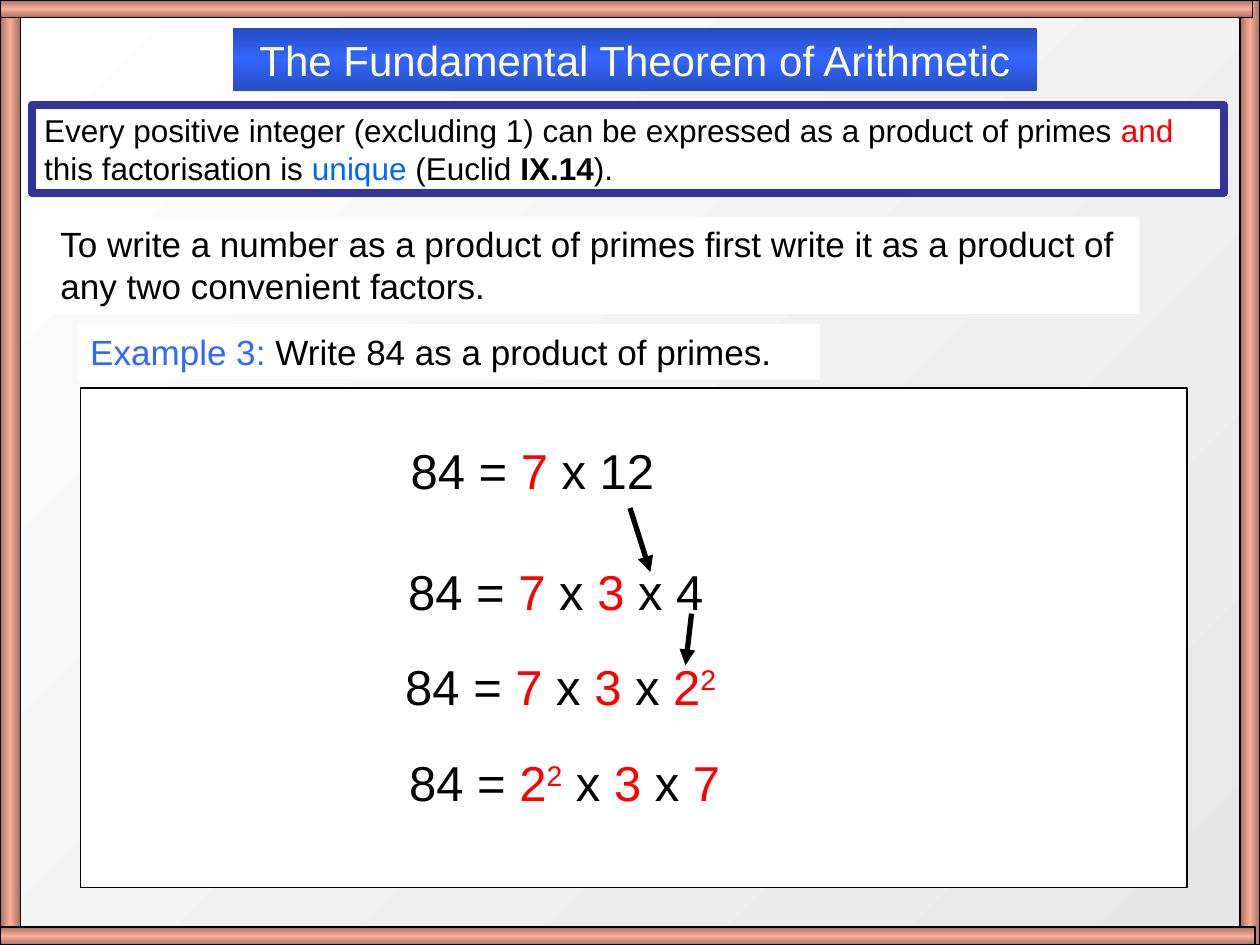
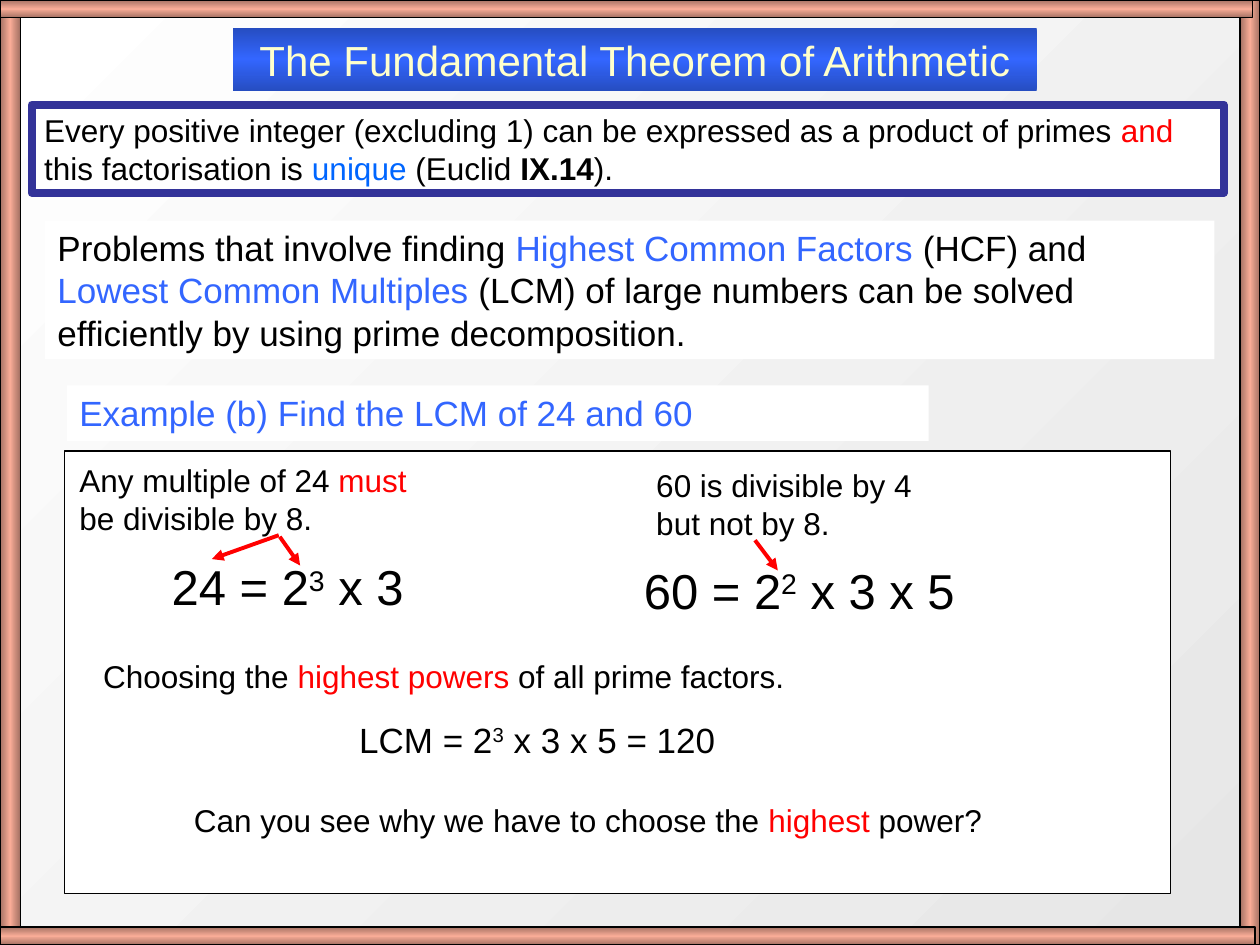
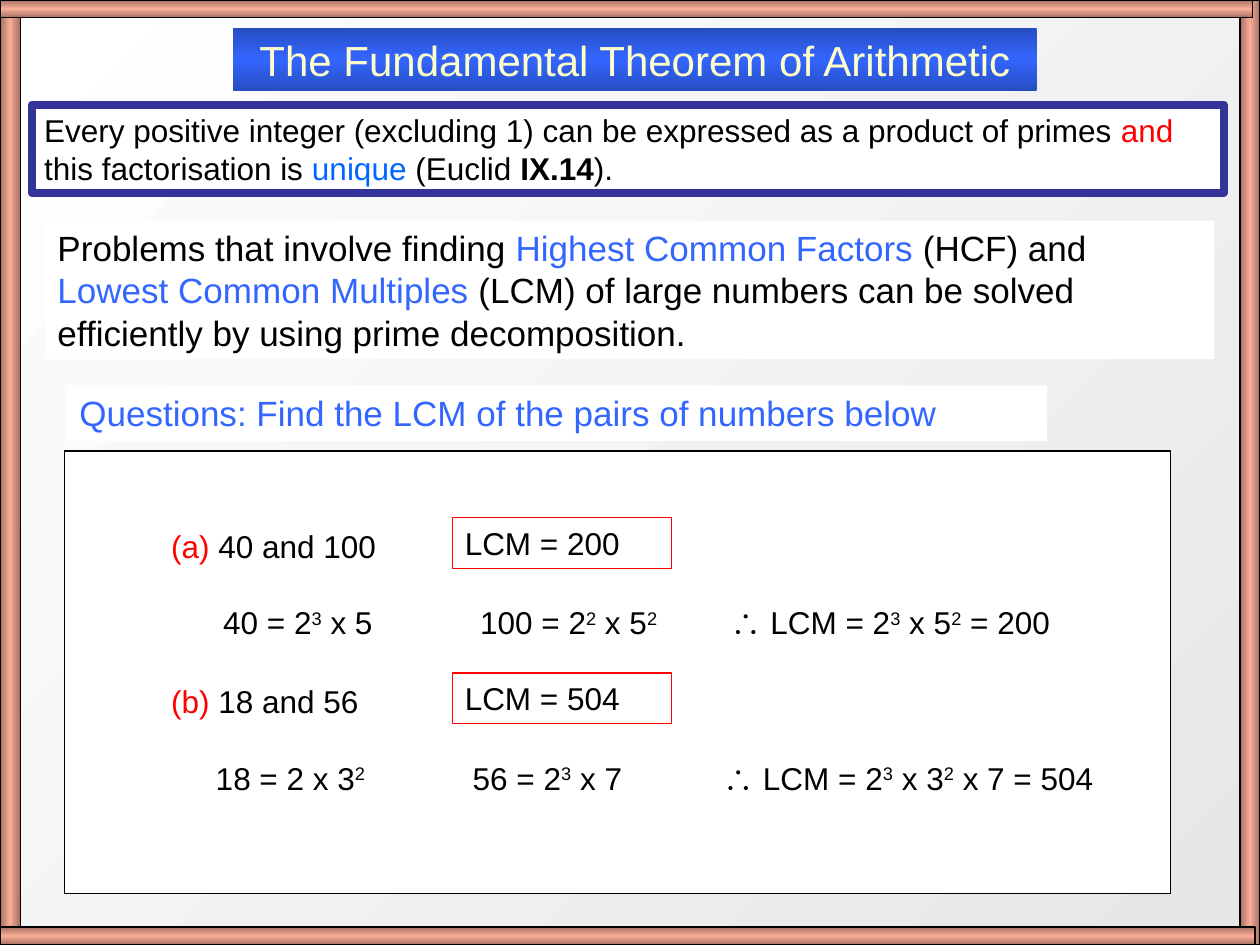
import copy

import pptx
import pptx.dml.color
import pptx.enum.shapes
import pptx.enum.text
import pptx.oxml
import pptx.oxml.ns
import pptx.util

Cm = pptx.util.Cm
Pt = pptx.util.Pt
RGBColor = pptx.dml.color.RGBColor
qn = pptx.oxml.ns.qn

# Shared look
FONT = "Arial"
BLACK = RGBColor(0x00, 0x00, 0x00)
WHITE = RGBColor(0xFF, 0xFF, 0xFF)
GREY = RGBColor(0xE6, 0xE6, 0xE6)
RED = RGBColor(0xFF, 0x00, 0x00)
BLUE = RGBColor(0x33, 0x66, 0xFF)
DARK_BLUE = RGBColor(0x26, 0x4D, 0xC1)
BRIGHT_BLUE = RGBColor(0x00, 0x66, 0xFF)
NAVY = RGBColor(0x33, 0x33, 0x99)
CREAM = RGBColor(0xFF, 0xFF, 0xCC)
COPPER = RGBColor(0xA4, 0x71, 0x63)
SALMON = RGBColor(0xF9, 0xAC, 0x97)

# Boxes are (left, top, width, height) in centimetres
SLIDE_WIDTH, SLIDE_HEIGHT = 25.4, 19.05
TITLE_BOX = (4.7, 0.56, 16.2, 1.27)
THEOREM_BOX = (0.64, 2.11, 24.03, 1.78)
FACTOR_PANEL = (1.63, 7.82, 22.3, 10.08)
LCM_PANEL = (1.3, 9.09, 22.3, 8.92)
FRAME_BARS = [
    ((0, 0, 0.41, SLIDE_HEIGHT), 0),
    ((25.0, 0, 0.4, SLIDE_HEIGHT), 0),
    ((0, 0, 25.25, 0.36), 90),
    ((0, 18.69, 25.3, 0.36), 90),
]

TITLE = "The Fundamental Theorem of Arithmetic"
THEOREM = [
    ("Every positive integer (excluding 1) can be expressed as a product of primes ", BLACK),
    ("and", RED),
    (" this factorisation is ", BLACK),
    ("unique ", BRIGHT_BLUE),
    ("(Euclid ", BLACK),
    ("IX.14", BLACK, True),
    (").", BLACK),
]
FACTOR_INTRO = [
    ("To write a number as a product of primes first write it as a product of "
     "any two convenient factors.", BLACK),
]
LCM_INTRO = [
    ("Problems that involve finding ", BLACK),
    ("Highest Common Factors", BLUE),
    (" (HCF) and ", BLACK),
    ("Lowest Common Multiples", BLUE),
    (" (LCM) of large numbers can be solved efficiently by using prime decomposition.", BLACK),
]


def add_run(paragraph, text, size, colour, bold=False, raised=False):
    run = paragraph.add_run()
    run.text = text
    run.font.name = FONT
    run.font.size = Pt(size)
    run.font.bold = bold
    run.font.color.rgb = colour
    if raised:
        run.font._element.set("baseline", "30000")


def write(shape, pieces, size):
    """Write (text, colour[, bold]) pieces; the digit after ^ is a power."""
    shape.text_frame.word_wrap = True
    paragraph = shape.text_frame.paragraphs[0]
    for text, colour, *bold in pieces:
        plain, *powers = text.split("^")
        if plain:
            add_run(paragraph, plain, size, colour, *bold)
        for power in powers:
            add_run(paragraph, power[0], size, colour, *bold, raised=True)
            if power[1:]:
                add_run(paragraph, power[1:], size, colour, *bold)
    return paragraph


def add_text(slide, box, pieces, size, fill=None, line=None, line_width=0.75):
    shape = slide.shapes.add_textbox(*map(Cm, box))
    if fill is not None:
        shape.fill.solid()
        shape.fill.fore_color.rgb = fill
    if line is not None:
        shape.line.color.rgb = line
        shape.line.width = Pt(line_width)
    write(shape, pieces, size)


def within(panel, left, top, width, height):
    return panel[0] + left, panel[1] + top, width, height


def add_rectangle(slide, box):
    shape = slide.shapes.add_shape(pptx.enum.shapes.MSO_SHAPE.RECTANGLE, *map(Cm, box))
    shape.shadow.inherit = False
    shape.line.color.rgb = BLACK
    shape.line.width = Pt(0.75)
    return shape


def add_panel(slide, box):
    panel = add_rectangle(slide, box)
    panel.fill.solid()
    panel.fill.fore_color.rgb = WHITE


def fill_with_sheen(shape, edge, middle, angle):
    """Gradient from edge to middle and back to edge."""
    shape.fill.gradient()
    shape.fill.gradient_angle = angle
    stops = shape.fill.gradient_stops
    stops[0].color.rgb, stops[0].position = edge, 0
    stops[1].color.rgb, stops[1].position = middle, 0.5
    stop_list = shape._element.spPr.find(".//" + qn("a:gsLst"))
    stop_list.append(copy.deepcopy(stop_list[0]))
    shape.fill.gradient_stops[2].position = 1


def add_arrow(slide, panel, start, end, colour, width):
    points = [Cm(panel[axis] + point[axis]) for point in (start, end) for axis in (0, 1)]
    arrow = slide.shapes.add_connector(pptx.enum.shapes.MSO_CONNECTOR.STRAIGHT, *points)
    arrow.line.color.rgb = colour
    arrow.line.width = Pt(width)
    line = arrow.line._get_or_add_ln()
    line.append(line.makeelement(qn("a:tailEnd"), {"type": "triangle"}))
    properties = arrow._element.spPr
    properties.append(properties.makeelement(qn("a:effectLst"), {}))


def set_background(master):
    fill = master.background.fill
    fill.gradient()
    fill.gradient_angle = 135
    for stop, colour, position in zip(fill.gradient_stops, (GREY, WHITE), (0, 1)):
        stop.color.rgb = colour
        stop.position = position


def add_theorem_slide(presentation):
    """Slide with the title, theorem and frame that all slides share."""
    slide = presentation.slides.add_slide(presentation.slide_layouts[5])
    title = slide.shapes.title
    title.left, title.top, title.width, title.height = map(Cm, TITLE_BOX)
    fill_with_sheen(title, DARK_BLUE, BLUE, 90)
    paragraph = write(title, [(TITLE, CREAM)], 24)
    paragraph.alignment = pptx.enum.text.PP_ALIGN.CENTER
    title.text_frame.vertical_anchor = pptx.enum.text.MSO_ANCHOR.MIDDLE
    add_text(slide, THEOREM_BOX, THEOREM, 18, WHITE, NAVY, 4.5)
    for box, angle in FRAME_BARS:
        fill_with_sheen(add_rectangle(slide, box), COPPER, SALMON, angle)
    return slide


def build_factor_slide(presentation):
    slide = add_theorem_slide(presentation)
    panel = FACTOR_PANEL
    add_text(slide, (0.97, 4.37, 22, 1.96), FACTOR_INTRO, 20, WHITE)
    heading = [("Example 3: ", BLUE), ("Write 84 as a product of primes.", BLACK)]
    add_text(slide, (1.57, 6.53, 14.96, 1.12), heading, 20, WHITE)
    add_panel(slide, panel)

    # Successive factorisations
    steps = [
        (6.4, 0.94, [("7", RED), (" x 12", BLACK)]),
        (6.35, 3.38, [("7", RED), (" x ", BLACK), ("3 ", RED), ("x 4", BLACK)]),
        (6.29, 5.29, [("7 ", RED), ("x ", BLACK), ("3", RED), (" x ", BLACK), ("2^2", RED)]),
        (6.37, 7.22, [("2^2 ", RED), ("x ", BLACK), ("3", RED), (" x ", BLACK), ("7", RED)]),
    ]
    for left, top, factors in steps:
        add_text(slide, within(panel, left, top, 11.4, 1.45), [("84 = ", BLACK)] + factors, 28)
    add_arrow(slide, panel, (11.07, 2.42), (11.48, 3.71), BLACK, 3)
    add_arrow(slide, panel, (12.31, 4.55), (12.19, 5.59), BLACK, 3)


def add_lcm_slide(presentation, heading, heading_width):
    slide = add_theorem_slide(presentation)
    add_text(slide, (0.91, 4.45, 23.57, 2.79), LCM_INTRO, 20, WHITE)
    add_text(slide, (1.35, 7.77, heading_width, 1.12), [(heading, BLUE)], 20, WHITE)
    add_panel(slide, LCM_PANEL)
    return slide


def build_lcm_example_slide(presentation):
    slide = add_lcm_slide(presentation, "Example (b) Find the LCM of 24 and 60", 17.37)
    texts = [
        # Remarks on divisibility
        ((0.05, 0.08, 7.47, 1.78), 18,
         [("Any multiple of 24 ", BLACK), ("must", RED), (" be divisible by 8.", BLACK)]),
        ((11.68, 0.18, 6, 1.78), 18, [("60 is divisible by 4 but not by 8.", BLACK)]),
        # Prime decompositions
        ((1.91, 2.01, 8, 1.45), 28, [("24 = 2^3 x 3", BLACK)]),
        ((11.43, 2.08, 8, 1.45), 28, [("60 = 2^2 x 3 x 5", BLACK)]),
        # Result
        ((0.53, 4.04, 21.06, 1.02), 18,
         [("Choosing the ", BLACK), ("highest powers", RED),
          (" of all prime factors.", BLACK)]),
        ((5.69, 5.26, 9.25, 1.12), 20, [("LCM = 2^3 x 3 x 5 = 120", BLACK)]),
        ((2.36, 6.93, 16.61, 1.02), 18,
         [("Can you see why we have to choose the ", BLACK), ("highest", RED),
          (" power?", BLACK)]),
    ]
    for box, size, pieces in texts:
        add_text(slide, within(LCM_PANEL, *box), pieces, size)
    for start, end in [((4.32, 1.7), (2.97, 2.18)), ((4.34, 1.73), (4.75, 2.31)),
                       ((13.92, 1.8), (14.38, 2.41))]:
        add_arrow(slide, LCM_PANEL, start, end, RED, 2.25)


def add_question(slide, top, label, numbers, answer, working, working_left):
    """One question row with its answer box, and its working below."""
    add_text(slide, within(LCM_PANEL, 1.9, top + 0.05, 4.9, 1.02),
             [(label, RED), (" " + numbers, BLACK)], 18)
    add_text(slide, within(LCM_PANEL, 7.82, top, 4.42, 1.02), [(answer, BLACK)], 18, line=RED)
    columns = [(0, 4.2), (5.18, 5.41), (10.22, 9)]
    for (offset, width), text in zip(columns, working):
        add_text(slide, within(LCM_PANEL, working_left + offset, top + 1.6, width, 1.02),
                 [(text, BLACK)], 18)


def build_lcm_questions_slide(presentation):
    slide = add_lcm_slide(
        presentation, "Questions: Find the LCM of the pairs of numbers below", 19.76)
    add_question(slide, 1.35, "(a)", "40 and 100", "LCM = 200",
                 ["40 = 2^3 x 5", "100 = 2^2 x 5^2", "∴ LCM = 2^3 x 5^2 = 200"], 2.95)
    add_question(slide, 4.48, "(b)", "18 and 56", "LCM = 504",
                 ["18 = 2 x 3^2", "56 = 2^3 x 7", "∴ LCM = 2^3 x 3^2 x 7 = 504"], 2.8)


def main():
    presentation = pptx.Presentation()
    presentation.slide_width = Cm(SLIDE_WIDTH)
    presentation.slide_height = Cm(SLIDE_HEIGHT)
    set_background(presentation.slide_master)
    build_factor_slide(presentation)
    build_lcm_example_slide(presentation)
    build_lcm_questions_slide(presentation)
    presentation.save("out.pptx")


if __name__ == "__main__":
    main()
